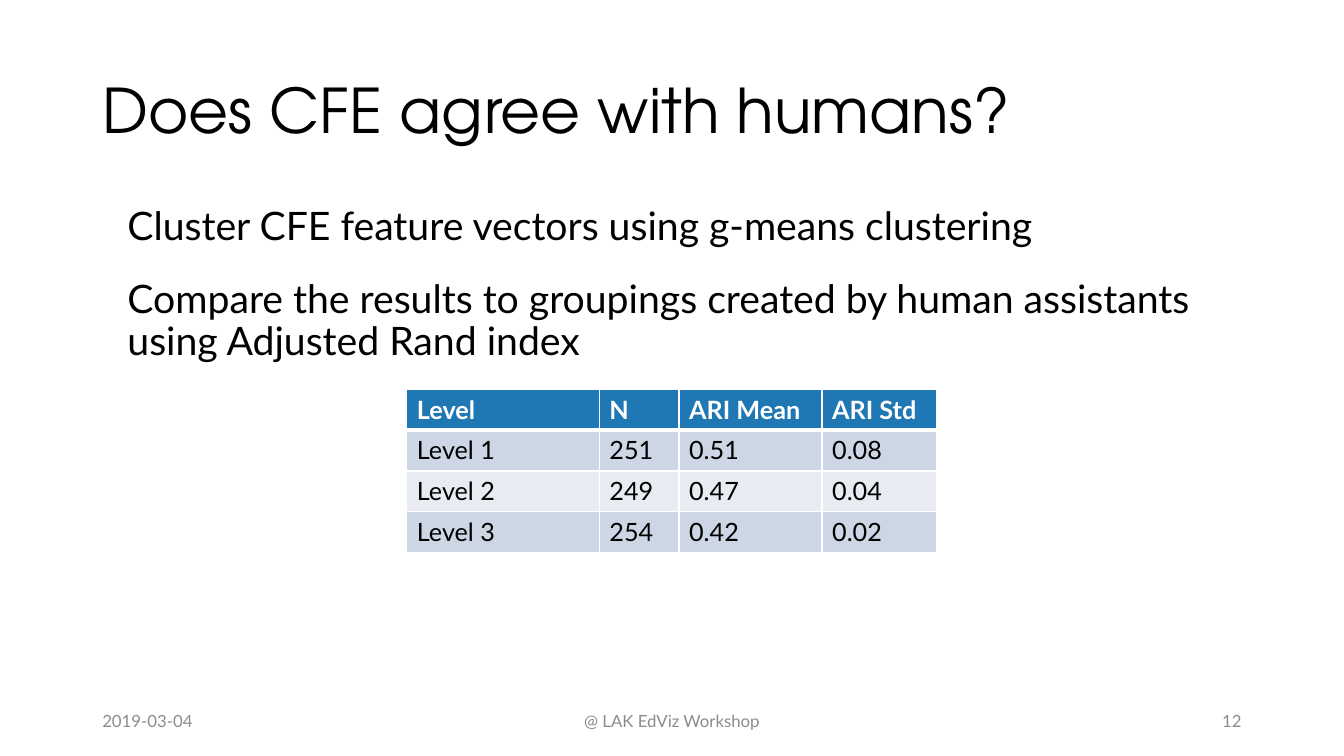
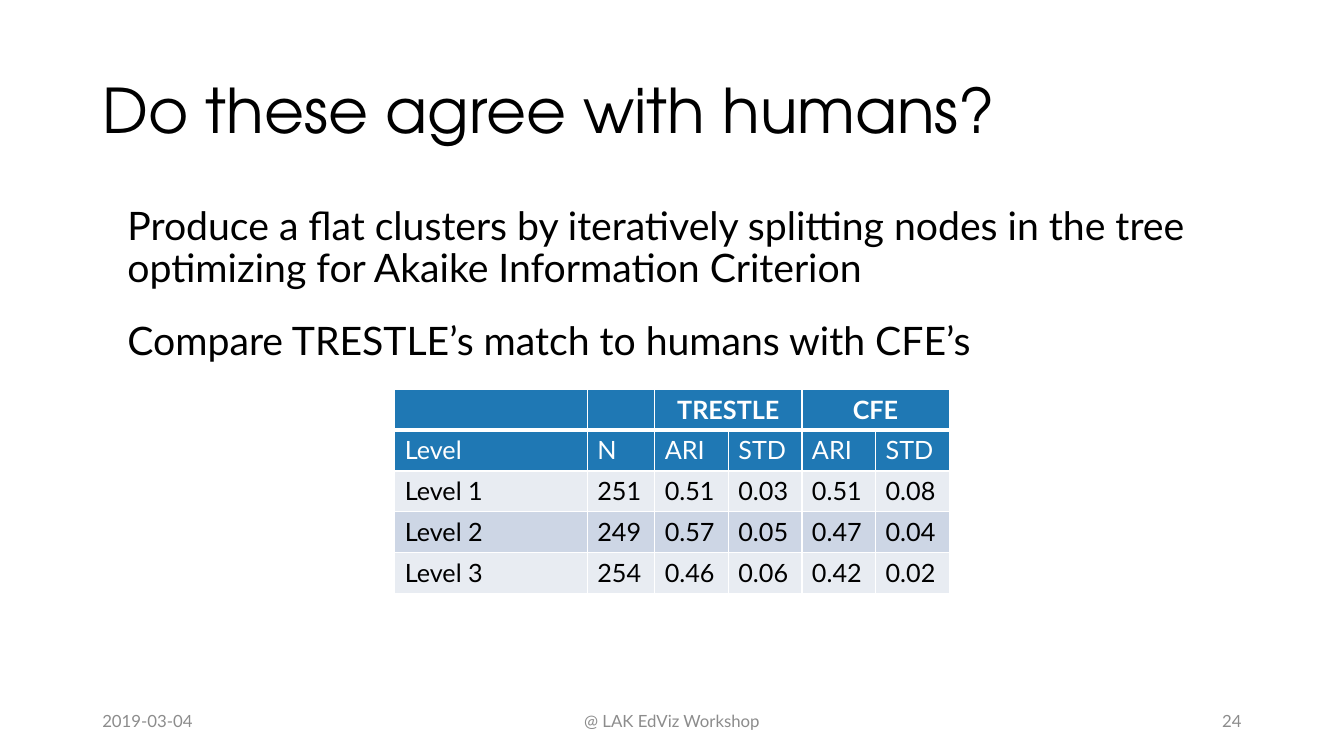
from dataclasses import dataclass
from typing import NamedTuple

from lxml.etree import SubElement
from pptx import Presentation
from pptx.dml.color import RGBColor
from pptx.enum.text import MSO_ANCHOR as Anchor, MSO_AUTO_SIZE as AutoSize, PP_ALIGN as Align
from pptx.oxml.ns import qn
from pptx.util import Pt

SLIDE_WIDTH, SLIDE_HEIGHT = 960, 540
TITLE_FONT, TEXT_FONT = "TeX Gyre Adventor", "Lato"
BLACK, WHITE, GREY = "000000", "FFFFFF", "8C8C8C"
HEADER_BLUE = "1F78B4"
BANDS = ("E8ECF2", "CDD6E5")
TABLE_TOP, ROW_HEIGHT = 278, 29.2
TITLE_ONLY = 5


class Area(NamedTuple):
    left: float
    top: float
    width: float
    height: float


TITLE_AREA = Area(66, 28.8, 828, 104.4)
BODY_AREA = Area(66, 144, 828, 334.8)
DATE_AREA = Area(66, 500.5, 216, 28.75)
FOOTER_AREA = Area(318, 500.5, 324, 28.75)
NUMBER_AREA = Area(678, 500.5, 216, 28.75)


@dataclass(frozen=True)
class ResultTable:
    widths: tuple[float, ...]
    rows: tuple[tuple[str, ...], ...]
    header_rows: int = 1
    header_pairs: tuple[int, ...] = ()  # first columns of merged top-row pairs


@dataclass(frozen=True)
class ResultSlide:
    title: str
    points: tuple[str, ...]
    table: ResultTable
    number: int


SLIDES = (
    ResultSlide(
        "Does CFE agree with humans?",
        (
            "Cluster CFE feature vectors using g-means clustering",
            "Compare the results to groupings created by human assistants using Adjusted Rand index",
        ),
        ResultTable(
            (137.5, 56.9, 102.2, 82.1),
            (
                ("Level", "N", "ARI Mean", "ARI Std"),
                ("Level 1", "251", "0.51", "0.08"),
                ("Level 2", "249", "0.47", "0.04"),
                ("Level 3", "254", "0.42", "0.02"),
            ),
        ),
        12,
    ),
    ResultSlide(
        "Do these agree with humans?",
        (
            "Produce a flat clusters by iteratively splitting nodes in the tree "
            "optimizing for Akaike Information Criterion",
            "Compare TRESTLE’s match to humans with CFE’s",
        ),
        ResultTable(
            (137.5, 48.2) + (52.6,) * 4,
            (
                ("", "", "TRESTLE", "", "CFE", ""),
                ("Level", "N", "ARI", "STD", "ARI", "STD"),
                ("Level 1", "251", "0.51", "0.03", "0.51", "0.08"),
                ("Level 2", "249", "0.57", "0.05", "0.47", "0.04"),
                ("Level 3", "254", "0.46", "0.06", "0.42", "0.02"),
            ),
            header_rows=2,
            header_pairs=(2, 4),
        ),
        24,
    ),
)


def rgb(color: str) -> RGBColor:
    return RGBColor.from_string(color)


def write_text(frame, *texts: str, size: float, font: str = TEXT_FONT, color: str = BLACK,
               bold: bool = False, align=Align.LEFT, spacing: float = 1.0,
               before: float = 0, after: float = 0, indent: float = 0) -> None:
    """Write one paragraph per text; space before applies from the second on."""
    for index, text in enumerate(texts):
        para = frame.add_paragraph() if index else frame.paragraphs[0]
        para.alignment = align
        para.line_spacing = spacing
        para.space_before = Pt(before if index else 0)
        para.space_after = Pt(after)
        if indent:
            properties = para._p.get_or_add_pPr()
            properties.set("marL", str(Pt(indent)))
            properties.set("indent", "0")
        span = para.add_run()
        span.text = text
        span.font.size = Pt(size)
        span.font.name = font
        span.font.bold = bold
        span.font.color.rgb = rgb(color)


def prepare_frame(box, anchor):
    frame = box.text_frame
    frame.word_wrap = True
    frame.auto_size = AutoSize.NONE
    frame.vertical_anchor = anchor
    return frame


def add_box(page, area: Area, *texts: str, anchor=Anchor.MIDDLE, **text_format) -> None:
    box = page.shapes.add_textbox(*map(Pt, area))
    write_text(prepare_frame(box, anchor), *texts, **text_format)


def set_title(page, text: str) -> None:
    title = page.shapes.title
    title.left, title.top, title.width, title.height = map(Pt, TITLE_AREA)
    write_text(prepare_frame(title, Anchor.MIDDLE), text, size=44, font=TITLE_FONT, spacing=0.9)


def add_footer(page, number: int) -> None:
    for area, text, align in (
        (DATE_AREA, "2019-03-04", Align.LEFT),
        (FOOTER_AREA, "@ LAK EdViz Workshop", Align.CENTER),
        (NUMBER_AREA, str(number), Align.RIGHT),
    ):
        add_box(page, area, text, size=12, color=GREY, align=align)


def set_borders(cell, top: float, bottom: float) -> None:
    """Draw white cell borders; must run before the cell gets its fill."""
    properties = cell._tc.get_or_add_tcPr()
    for side, width in (("L", 1), ("R", 1), ("T", top), ("B", bottom)):
        line = SubElement(properties, qn(f"a:ln{side}"), w=str(Pt(width)))
        fill = SubElement(line, qn("a:solidFill"))
        SubElement(fill, qn("a:srgbClr"), val=WHITE)


def add_result_table(page, result: ResultTable) -> None:
    """Centre the table on the page, with a thick rule under its top row."""
    width = sum(result.widths)
    area = Area((SLIDE_WIDTH - width) / 2, TABLE_TOP, width, ROW_HEIGHT * len(result.rows))
    table = page.shapes.add_table(len(result.rows), len(result.widths), *map(Pt, area)).table
    table.first_row = table.horz_banding = False
    for column, column_width in zip(table.columns, result.widths):
        column.width = Pt(column_width)
    for row_index, texts in enumerate(result.rows):
        table.rows[row_index].height = Pt(ROW_HEIGHT)
        is_top = row_index == 0
        is_header = row_index < result.header_rows
        for column_index, text in enumerate(texts):
            cell = table.cell(row_index, column_index)
            set_borders(cell, top=3 if row_index == 1 else 1, bottom=3 if is_top else 1)
            cell.fill.solid()
            cell.fill.fore_color.rgb = rgb(HEADER_BLUE if is_header else BANDS[row_index % 2])
            if text:
                is_pair = is_top and column_index in result.header_pairs
                write_text(cell.text_frame, text, size=18, bold=is_top,
                           color=WHITE if is_header else BLACK,
                           align=Align.CENTER if is_pair else Align.LEFT)
    for first in result.header_pairs:
        table.cell(0, first).merge(table.cell(0, first + 1))


def add_result_slide(deck, content: ResultSlide) -> None:
    page = deck.slides.add_slide(deck.slide_layouts[TITLE_ONLY])
    set_title(page, content.title)
    add_box(page, BODY_AREA, *content.points, anchor=Anchor.TOP, size=28,
            spacing=0.9, before=10, after=12, indent=18)
    add_result_table(page, content.table)
    add_footer(page, content.number)


def main() -> None:
    deck = Presentation()
    deck.slide_width, deck.slide_height = Pt(SLIDE_WIDTH), Pt(SLIDE_HEIGHT)
    for content in SLIDES:
        add_result_slide(deck, content)
    deck.save("out.pptx")


if __name__ == "__main__":
    main()
